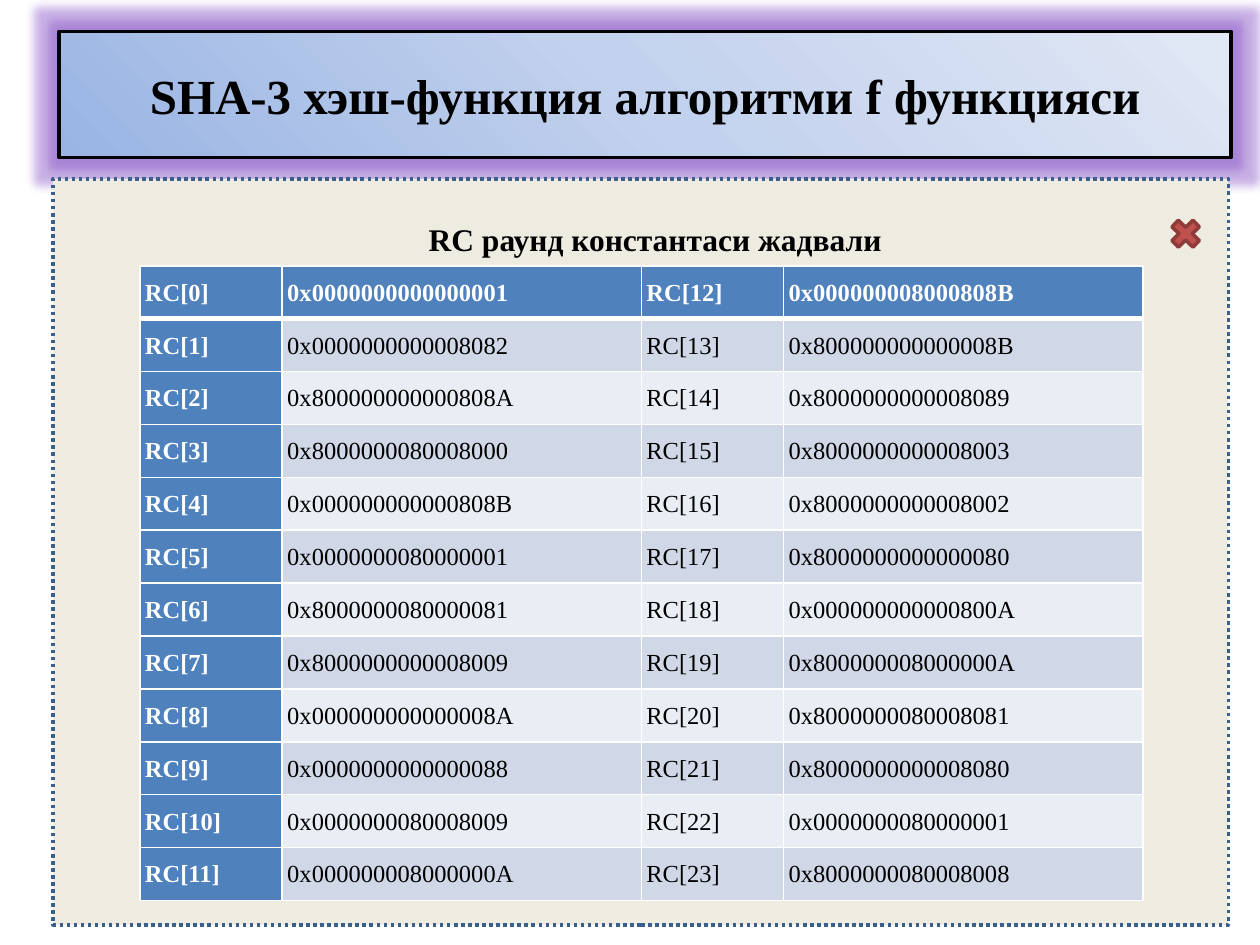
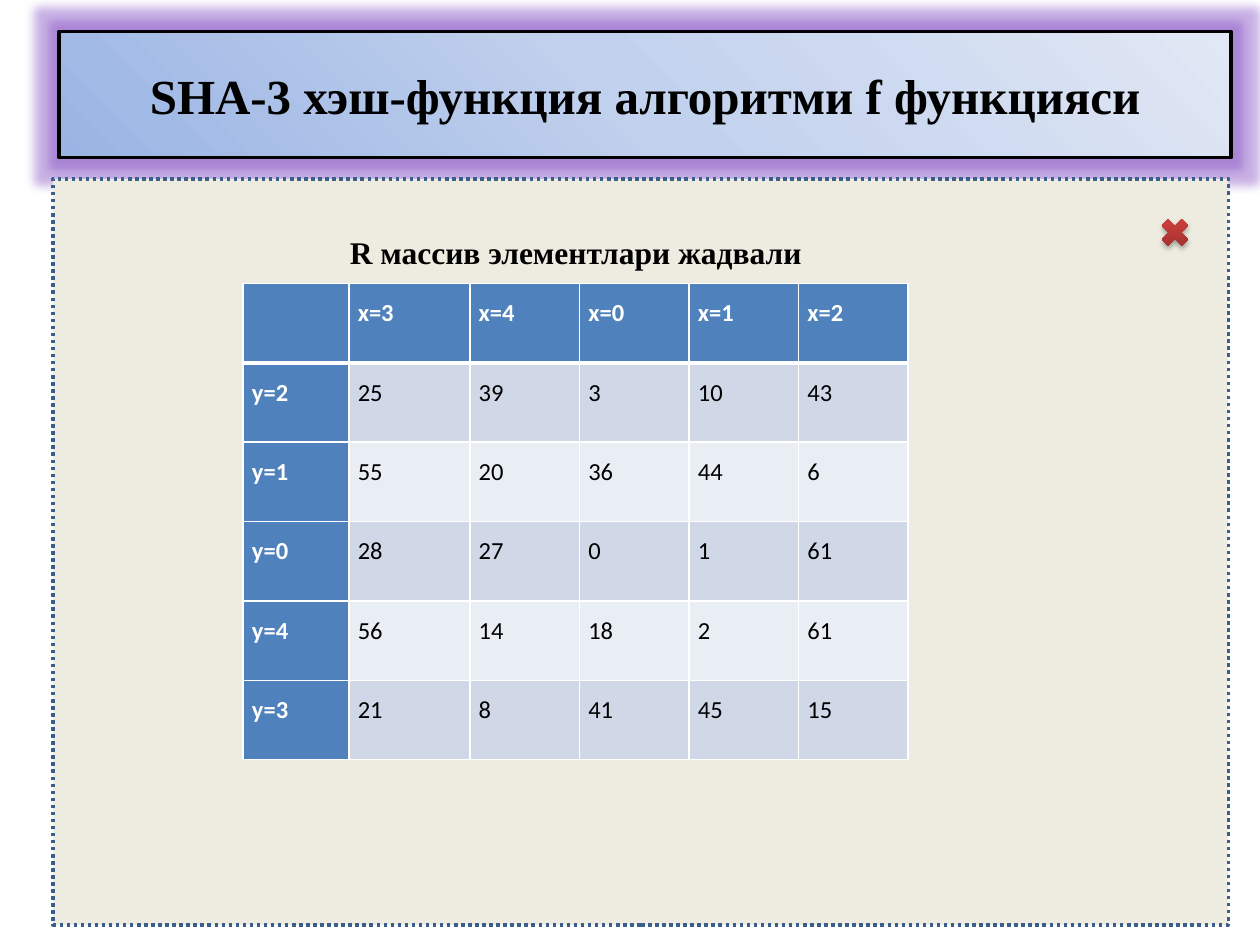
from pptx import Presentation
from pptx import util as u
from pptx.dml.color import RGBColor
from pptx.enum import dml, shapes, text
from pptx.oxml import parse_xml
from pptx.oxml.ns import nsdecls, qn

TITLE = "SHA-3 хэш-функция алгоритми f функцияси"
SERIF = "Times New Roman"
BLACK, WHITE = "000000", "FFFFFF"
HEADER, BANDS = "4F81BD", ("D0D8E8", "E9EDF4")
NAMESPACE = nsdecls("a")

TITLE_GRADIENT = f"""<a:gradFill {NAMESPACE} rotWithShape="1"><a:gsLst>
<a:gs pos="0"><a:srgbClr val="9AB5E4"/></a:gs>
<a:gs pos="50000"><a:srgbClr val="C2D1ED"/></a:gs>
<a:gs pos="100000"><a:srgbClr val="E1E8F5"/></a:gs></a:gsLst>
<a:path path="circle"><a:fillToRect t="100000" r="100000"/></a:path></a:gradFill>"""
TITLE_GLOW = f"""<a:glow {NAMESPACE} rad="139700"><a:srgbClr val="7A3FBF">
<a:alpha val="40000"/></a:srgbClr></a:glow>"""
CROSS_GRADIENT = f"""<a:gradFill {NAMESPACE} rotWithShape="1"><a:gsLst>
<a:gs pos="0"><a:srgbClr val="9C2F2D"/></a:gs>
<a:gs pos="80000"><a:srgbClr val="CB3E3A"/></a:gs>
<a:gs pos="100000"><a:srgbClr val="CE3B37"/></a:gs></a:gsLst>
<a:lin ang="16200000" scaled="0"/></a:gradFill>"""
CROSS_SHADOW = f"""<a:outerShdw {NAMESPACE} blurRad="39370" dist="22860" dir="5400000"
rotWithShape="0"><a:srgbClr val="000000"><a:alpha val="35000"/></a:srgbClr></a:outerShdw>"""

ROUND_CONSTANTS = """
0x0000000000000001 0x0000000000008082 0x800000000000808A 0x8000000080008000
0x000000000000808B 0x0000000080000001 0x8000000080000081 0x8000000000008009
0x000000000000008A 0x0000000000000088 0x0000000080008009 0x000000008000000A
0x000000008000808B 0x800000000000008B 0x8000000000008089 0x8000000000008003
0x8000000000008002 0x8000000000000080 0x000000000000800A 0x800000008000000A
0x8000000080008081 0x8000000000008080 0x0000000080000001 0x8000000080008008
""".split()
HALF = len(ROUND_CONSTANTS) // 2

SLIDES = [
    dict(caption="RC раунд константаси жадвали", caption_at=(2.64, 1.7, 5.12, 0.4),
         rows=[[f"RC[{i}]", ROUND_CONSTANTS[i], f"RC[{i + HALF}]", ROUND_CONSTANTS[i + HALF]]
               for i in range(HALF)],
         table_at=(1.11, 2.11), columns=[1.13, 2.85, 1.13, 2.85], row_height=0.42,
         font=SERIF, inset=0.04, cross_at=(9.25, 1.7, 0.32, 0.31), glossy_cross=False),
    dict(caption="R массив элементлари жадвали", caption_at=(2.09, 1.8, 4.96, 0.4),
         rows=[["", "x=3", "x=4", "x=0", "x=1", "x=2"],
               ["y=2", "25", "39", "3", "10", "43"],
               ["y=1", "55", "20", "36", "44", "6"],
               ["y=0", "28", "27", "0", "1", "61"],
               ["y=4", "56", "14", "18", "2", "61"],
               ["y=3", "21", "8", "41", "45", "15"]],
         table_at=(1.93, 2.25), columns=[0.84, 0.96] + [0.87] * 4, row_height=0.63,
         font="Calibri", inset=0.07, cross_at=(9.17, 1.69, 0.31, 0.31), glossy_cross=True),
]


def paint(fill, colour):
    fill.solid()
    fill.fore_color.rgb = RGBColor.from_string(colour)


def write_text(frame, words, size=18, font=SERIF, colour=BLACK, bold=True,
               align=text.PP_ALIGN.CENTER, spacing=None):
    para = frame.paragraphs[0]
    para.alignment = align
    para.line_spacing = spacing
    span = para.add_run()
    span.text = words
    span.font.size = u.Pt(size)
    span.font.name = font
    span.font.bold = bold
    paint(span.font.fill, colour)


deck = Presentation()
deck.slide_width, deck.slide_height = u.Inches(10), u.Inches(7.5)

for content in SLIDES:
    page = deck.slides.add_slide(deck.slide_layouts[6])

    # Glowing title band
    band = page.shapes.add_shape(shapes.MSO_SHAPE.RECTANGLE,
                                 *map(u.Inches, (0.47, 0.25, 9.3, 1)))
    band.shadow.inherit = False
    properties = band.element.spPr
    properties.find(qn("a:prstGeom")).addnext(parse_xml(TITLE_GRADIENT))
    properties.find(qn("a:effectLst")).append(parse_xml(TITLE_GLOW))
    paint(band.line.fill, BLACK)
    band.line.width = u.Pt(2)
    band.text_frame.word_wrap = True
    band.text_frame.vertical_anchor = text.MSO_ANCHOR.MIDDLE
    write_text(band.text_frame, TITLE, size=28)

    # Dotted content panel
    panel = page.shapes.add_shape(shapes.MSO_SHAPE.RECTANGLE,
                                  *map(u.Inches, (0.42, 1.42, 9.33, 5.92)))
    panel.shadow.inherit = False
    paint(panel.fill, "EEECE1")
    paint(panel.line.fill, "3A5F8C")
    panel.line.width = u.Pt(2)
    panel.line.dash_style = dml.MSO_LINE.ROUND_DOT

    # Table with a header row and a header column
    rows, columns = content["rows"], content["columns"]
    size = sum(columns), content["row_height"] * len(rows)
    table = page.shapes.add_table(len(rows), len(columns),
                                  *map(u.Inches, content["table_at"] + size)).table
    table.horz_banding = False
    table.first_col = True
    for column, width in zip(table.columns, columns):
        column.width = u.Inches(width)
    for r, values in enumerate(rows):
        table.rows[r].height = u.Inches(content["row_height"])
        for c, value in enumerate(values):
            cell = table.cell(r, c)
            cell.margin_left = cell.margin_right = u.Inches(content["inset"])
            cell.margin_top = cell.margin_bottom = 0
            for side in "LRTB":
                thick = (r, side) in ((0, "B"), (1, "T"))
                cell._tc.get_or_add_tcPr().append(parse_xml(
                    f'<a:ln{side} {NAMESPACE} w="{u.Pt(3 if thick else 1)}"><a:solidFill>'
                    f'<a:srgbClr val="{WHITE}"/></a:solidFill></a:ln{side}>'))
            heading = r == 0 or c == 0
            paint(cell.fill, HEADER if heading else BANDS[(r - 1) % 2])
            if value:
                write_text(cell.text_frame, value, size=14, font=content["font"],
                           colour=WHITE if heading else BLACK, bold=heading,
                           align=text.PP_ALIGN.JUSTIFY, spacing=1.5)

    # Table caption
    box = page.shapes.add_textbox(*map(u.Inches, content["caption_at"]))
    box.text_frame.word_wrap = True
    write_text(box.text_frame, content["caption"])

    # Red cross in the corner
    cross = page.shapes.add_shape(shapes.MSO_SHAPE.MATH_MULTIPLY,
                                  *map(u.Inches, content["cross_at"]))
    cross.shadow.inherit = False
    if content["glossy_cross"]:
        properties = cross.element.spPr
        properties.find(qn("a:prstGeom")).addnext(parse_xml(CROSS_GRADIENT))
        properties.find(qn("a:effectLst")).append(parse_xml(CROSS_SHADOW))
        cross.line.fill.background()
    else:
        paint(cross.fill, "C0504D")
        paint(cross.line.fill, "8E3B39")
        cross.line.width = u.Pt(2)

deck.save("out.pptx")
